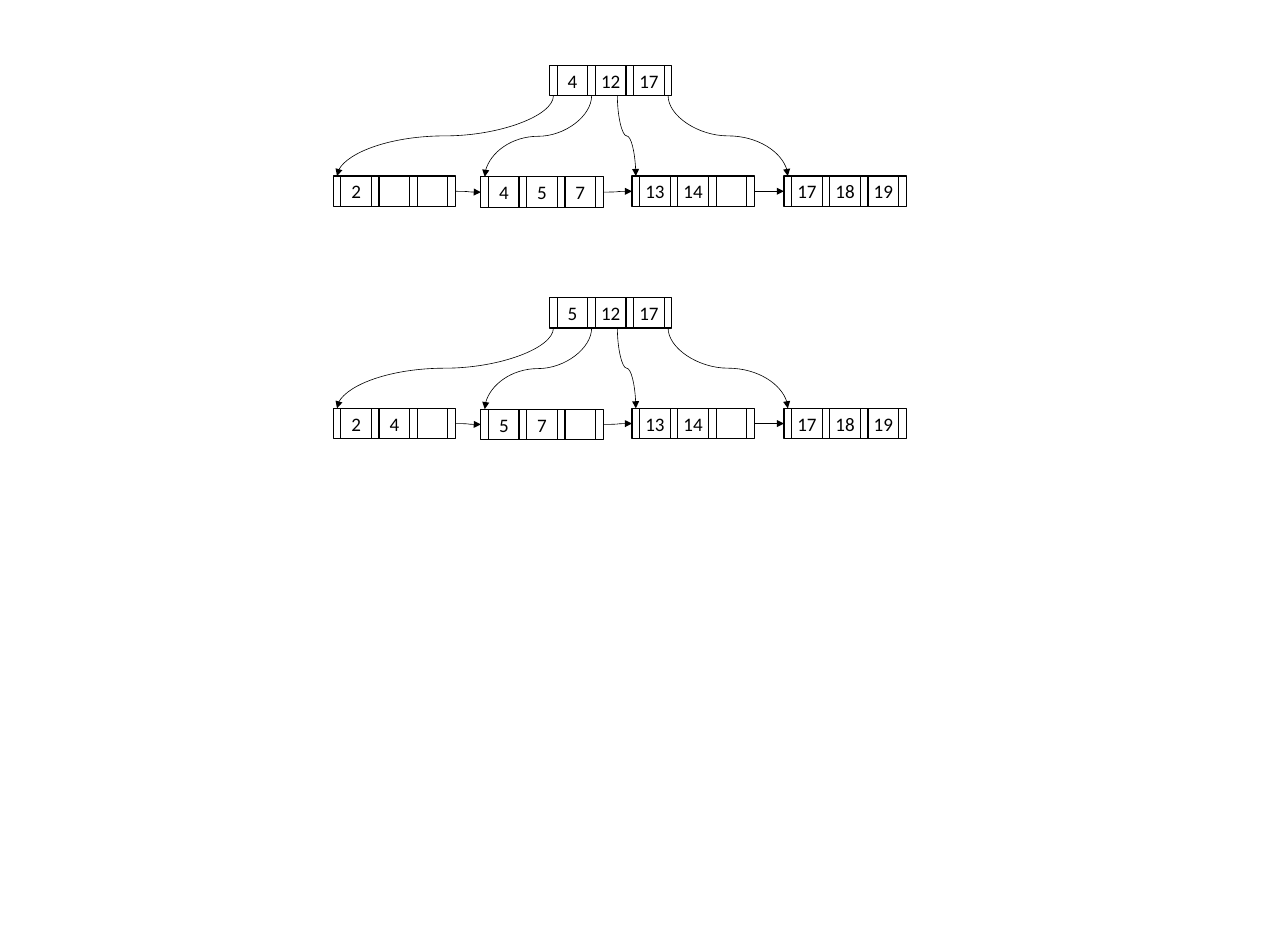
from lxml.etree import SubElement
from pptx import Presentation
from pptx.dml.color import RGBColor
from pptx.enum.shapes import MSO_CONNECTOR, MSO_SHAPE
from pptx.enum.text import MSO_ANCHOR, PP_ALIGN
from pptx.oxml.ns import qn
from pptx.util import Pt

SCALE = 4572  # EMU per px, 200 px to the inch
COLORS = {"ink": "000000", "paper": "FFFFFF"}
INK = RGBColor.from_string(COLORS["ink"])
SLOT, KEY, HEIGHT = 18, 71, 71  # pointer width, key width, node height
TOP, LEFT, BOTTOM, RIGHT = 0, 1, 2, 3  # connection sites of a rectangle

ROOT_X, ROOT_Y = 1280, 152
LEAF_PLACES = [(776, 410), (1120, 412), (1472, 410), (1826, 410)]
MIDDLE_START_X = 1438  # the third child arrow leaves the root between slots
TREE_STEP = 541
TREES = [
    (["4", "12", "17"],
     [["2", "", ""], ["4", "5", "7"], ["13", "14", ""], ["17", "18", "19"]]),
    (["5", "12", "17"],
     [["2", "4", ""], ["5", "7", ""], ["13", "14", ""], ["17", "18", "19"]]),
]

presentation = Presentation()
presentation.slide_width = 3000 * SCALE
presentation.slide_height = 2166 * SCALE
slide = presentation.slides.add_slide(presentation.slide_layouts[6])
slide.background.fill.solid()
slide.background.fill.fore_color.rgb = RGBColor.from_string(COLORS["paper"])


def add_node(x, y, keys):
    """Draw slot, key, slot, key ... slot and return the pointer slots."""
    slots = []
    for index in range(2 * len(keys) + 1):
        is_key = index % 2 == 1
        width = KEY if is_key else SLOT
        shape = slide.shapes.add_shape(
            MSO_SHAPE.RECTANGLE, x * SCALE, y * SCALE, width * SCALE, HEIGHT * SCALE)
        shape.shadow.inherit = False
        shape.fill.background()
        shape.line.color.rgb = INK
        shape.line.width = Pt(1)
        if not is_key:
            slots.append(shape)
        elif keys[index // 2]:
            frame = shape.text_frame
            frame.margin_left = frame.margin_right = 0
            frame.margin_top = frame.margin_bottom = 0
            frame.vertical_anchor = MSO_ANCHOR.MIDDLE
            paragraph = frame.paragraphs[0]
            paragraph.alignment = PP_ALIGN.CENTER
            run = paragraph.add_run()
            run.text = keys[index // 2]
            run.font.name = "Calibri"
            run.font.size = Pt(16)
            run.font.color.rgb = INK
        x += width
    return slots


def add_arrow(start, start_site, end, end_site):
    """Draw a thin curved arrow joined to two slots."""
    arrow = slide.shapes.add_connector(MSO_CONNECTOR.CURVE, 0, 0, 0, 0)
    if start is not None:
        arrow.begin_connect(start, start_site)
    arrow.end_connect(end, end_site)
    arrow.line.color.rgb = INK
    arrow.line.width = Pt(0.5)
    SubElement(arrow.line._get_or_add_ln(), qn("a:tailEnd"), type="triangle")
    SubElement(arrow._element.spPr, qn("a:effectLst"))
    return arrow


for tree_index, (root_keys, leaf_keys) in enumerate(TREES):
    offset = tree_index * TREE_STEP

    # Root and leaves
    root_slots = add_node(ROOT_X, ROOT_Y + offset, root_keys)
    leaves = [add_node(x, y + offset, keys)
              for (x, y), keys in zip(LEAF_PLACES, leaf_keys)]

    # Root to leaves: S-curves that run downwards, so the frame is turned
    for child, leaf_slots in enumerate(leaves):
        source, target = root_slots[child], leaf_slots[0]
        start_x = source.left + source.width // 2
        if child == 2:
            start_x, source = MIDDLE_START_X * SCALE, None
        start_y = (ROOT_Y + HEIGHT + offset) * SCALE
        end_x, end_y = target.left + target.width // 2, target.top
        arrow = add_arrow(source, BOTTOM, target, TOP)
        length, spread = end_y - start_y, abs(end_x - start_x)
        arrow.left = (start_x + end_x - length) // 2
        arrow.top = (start_y + end_y - spread) // 2
        arrow.width, arrow.height = length, spread
        to_right = end_x > start_x
        frame = arrow._element.spPr.xfrm
        frame.set("rot", "16200000" if to_right else "5400000")
        frame.set("flipH", "1" if to_right else "0")
        frame.set("flipV", "0")

    # Leaf to next leaf
    for leaf_slots, next_slots in zip(leaves, leaves[1:]):
        add_arrow(leaf_slots[-1], RIGHT, next_slots[0], LEFT)

presentation.save("out.pptx")
